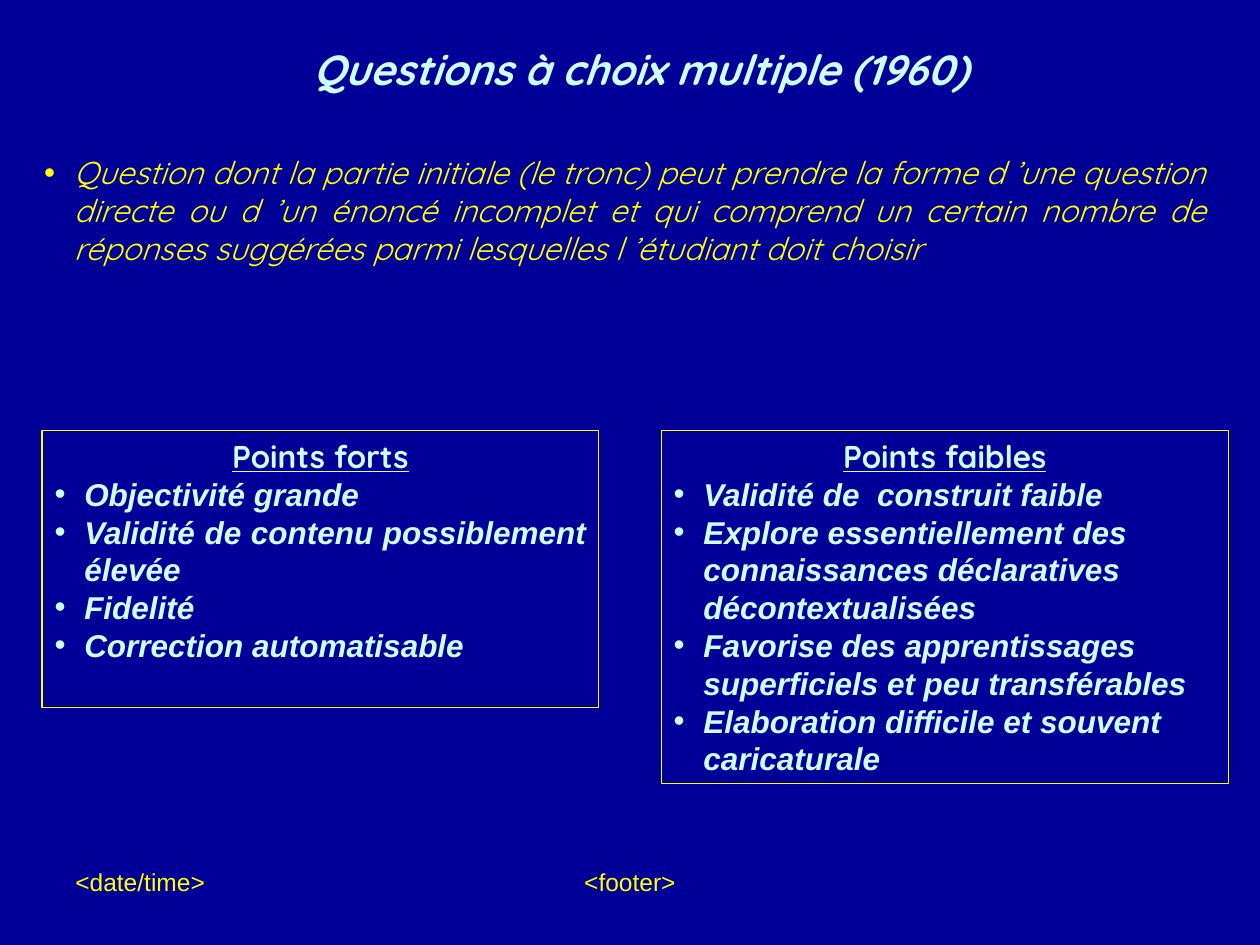
from lxml import etree
from pptx import Presentation
from pptx.dml.color import RGBColor
from pptx.enum.shapes import MSO_SHAPE
from pptx.enum.text import MSO_ANCHOR, MSO_AUTO_SIZE, PP_ALIGN
from pptx.oxml.ns import qn
from pptx.util import Cm, Pt

LEFT, CENTER, JUSTIFY = PP_ALIGN.LEFT, PP_ALIGN.CENTER, PP_ALIGN.JUSTIFY
TOP, MIDDLE = MSO_ANCHOR.TOP, MSO_ANCHOR.MIDDLE
RECTANGLE = MSO_SHAPE.RECTANGLE
NO_AUTOFIT = MSO_AUTO_SIZE.NONE

BLUE, YELLOW, PALE = "000099", "FFFF00", "CCFFFF"
LINE_PITCH = Pt(21.6)
INDENT = Cm(0.6)

TITLE = {"name": "Quicksand", "size": Pt(24), "bold": True, "italic": True}
BODY = {"name": "Quicksand", "size": Pt(18), "bold": False, "italic": True}
HEADING = {"name": "Quicksand", "size": Pt(18), "bold": True, "underline": True}
POINT = {"name": "Arial", "size": Pt(18), "bold": True, "italic": True}
FOOTER = {"name": "Arial", "size": Pt(14)}

DEFINITION = (
    "Question dont la partie initiale (le tronc) peut prendre la forme d ’une question "
    "directe ou d ’un énoncé incomplet et qui comprend un certain nombre de "
    "réponses suggérées parmi lesquelles l ’étudiant doit choisir"
)
STRENGTHS = [
    "Objectivité grande",
    "Validité de contenu possiblement élevée",
    "Fidelité",
    "Correction automatisable",
]
WEAKNESSES = [
    "Validité de  construit faible",
    "Explore essentiellement des connaissances déclaratives décontextualisées",
    "Favorise des apprentissages superficiels et peu transférables",
    "Elaboration difficile et souvent caricaturale",
]


def rgb(color):
    return RGBColor.from_string(color)


def place(shape, left, top, width, height):
    shape.left, shape.top = Cm(left), Cm(top)
    shape.width, shape.height = Cm(width), Cm(height)


def prepare_frame(shape, anchor=TOP):
    frame = shape.text_frame
    settings = {
        "word_wrap": True,
        "auto_size": NO_AUTOFIT,
        "vertical_anchor": anchor,
        "margin_left": Cm(0.25),
        "margin_right": Cm(0.25),
        "margin_top": Cm(0.13),
        "margin_bottom": Cm(0.13),
    }
    for name, value in settings.items():
        setattr(frame, name, value)
    return frame


def add_bullet(paragraph, color):
    properties = paragraph._p.get_or_add_pPr()
    properties.set("marL", str(INDENT))
    properties.set("indent", str(-INDENT))
    bullet_color = etree.SubElement(properties, qn("a:buClr"))
    etree.SubElement(bullet_color, qn("a:srgbClr"), val=color)
    etree.SubElement(properties, qn("a:buFont"), typeface="Arial")
    etree.SubElement(properties, qn("a:buChar"), char="•")


def write(paragraph, text, style, color, alignment, bullet=False, pitch=None):
    if bullet:
        add_bullet(paragraph, color)
    paragraph.alignment = alignment
    paragraph.space_before = Pt(0)
    paragraph.line_spacing = pitch
    run = paragraph.add_run()
    run.text = text
    for name, value in style.items():
        setattr(run.font, name, value)
    run.font.color.rgb = rgb(color)


def add_points_box(slide, heading, points, alignment, left, width, height):
    box = slide.shapes.add_shape(RECTANGLE, 0, 0, 0, 0)
    place(box, left, 8.68, width, height)
    box.shadow.inherit = False
    box.fill.background()
    box.line.color.rgb = rgb(YELLOW)
    box.line.width = Pt(0.75)
    frame = prepare_frame(box)
    write(frame.paragraphs[0], heading, HEADING, PALE, CENTER, pitch=LINE_PITCH)
    for point in points:
        write(frame.add_paragraph(), point, POINT, PALE, alignment, True, LINE_PITCH)


def add_footer_text(slide, text, alignment, left, width):
    box = slide.shapes.add_textbox(0, 0, 0, 0)
    place(box, left, 17.35, width, 1.32)
    write(prepare_frame(box).paragraphs[0], text, FOOTER, YELLOW, alignment)


def main():
    presentation = Presentation()
    presentation.slide_width, presentation.slide_height = Cm(25.4), Cm(19.05)
    slide = presentation.slides.add_slide(presentation.slide_layouts[1])
    slide.background.fill.solid()
    slide.background.fill.fore_color.rgb = rgb(BLUE)

    title, body = slide.placeholders
    place(title, 1.48, 0.64, 22.86, 1.48)
    write(prepare_frame(title, MIDDLE).paragraphs[0],
          "Questions à choix multiple (1960)", TITLE, PALE, CENTER)
    place(body, 0.64, 2.96, 23.92, 2.54)
    write(prepare_frame(body).paragraphs[0],
          DEFINITION, BODY, YELLOW, JUSTIFY, True, LINE_PITCH)

    add_points_box(slide, "Points forts", STRENGTHS, JUSTIFY, 0.85, 11.22, 5.59)
    add_points_box(slide, "Points faibles", WEAKNESSES, LEFT, 13.33, 11.43, 7.11)
    add_footer_text(slide, "<date/time>", LEFT, 1.27, 5.93)
    add_footer_text(slide, "<footer>", CENTER, 8.68, 8.04)
    presentation.save("out.pptx")


if __name__ == "__main__":
    main()
